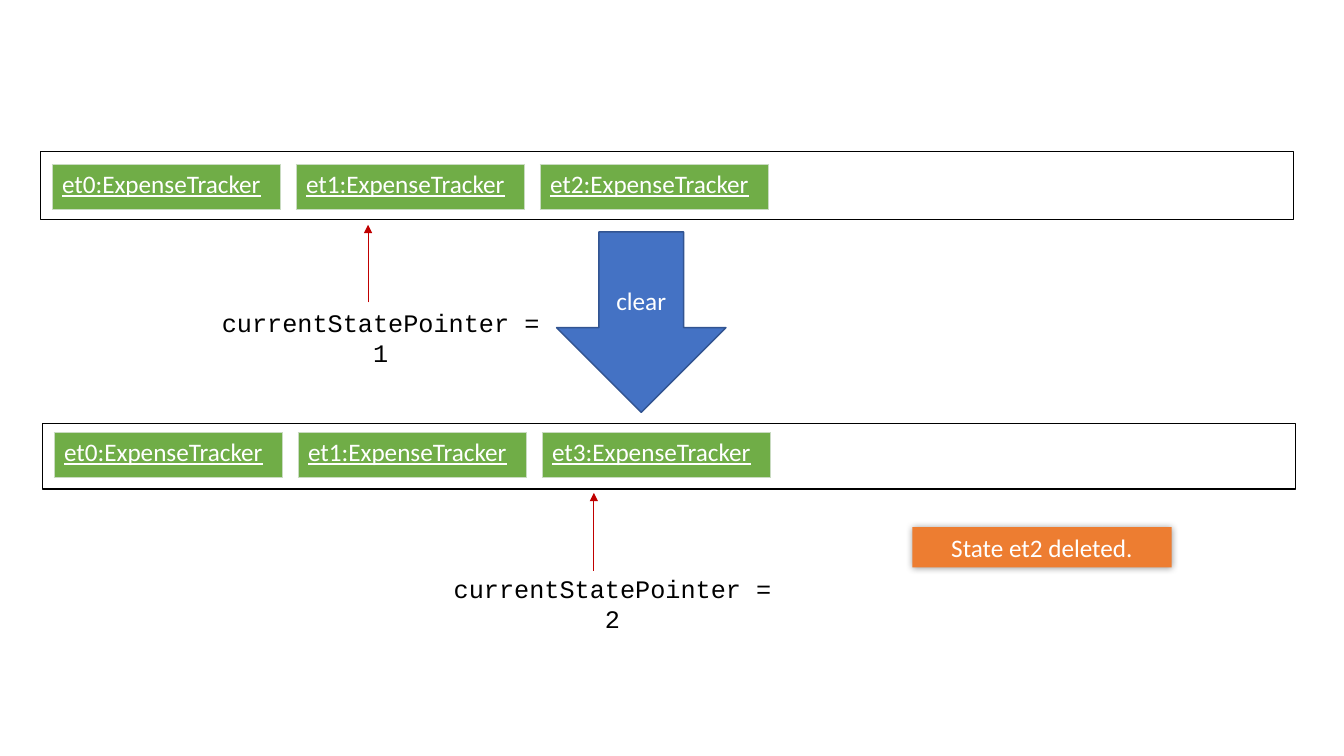
from lxml.etree import SubElement
from pptx import Presentation
from pptx.dml.color import RGBColor
from pptx.enum.shapes import MSO_CONNECTOR, MSO_SHAPE
from pptx.enum.text import MSO_ANCHOR, MSO_AUTO_SIZE, PP_ALIGN
from pptx.oxml.ns import qn
from pptx.util import Inches, Pt

COLORS = {
    "state": "70AD47", "edge": "C9DBC1", "blue": "4472C4", "navy": "325491",
    "note": "ED7D31", "red": "C00000", "black": "000000", "white": "FFFFFF",
}
UNIT = Inches(0.1)  # side of one grid cell
CARD = (22.7, 4.5)
PITCH = 24.2


def grid(*cells):
    return [round(cell * UNIT) for cell in cells]


def color(name):
    return RGBColor.from_string(COLORS[name])


def add_node(parent, tag, **attrs):
    return SubElement(parent, qn(tag), attrs)


def write(frame, text, ink="white", face="Calibri", align=PP_ALIGN.CENTER):
    frame.word_wrap = True
    para = frame.paragraphs[0]
    para.text = text
    para.alignment = align
    font = para.font
    font.name, font.size, font.bold = face, Pt(18), False
    font.color.rgb = color(ink)
    return font


def add_block(slide, kind, box, fill=None, line=None):
    shape = slide.shapes.add_shape(kind, *grid(*box))
    shape.shadow.inherit = False
    if fill:
        shape.fill.solid()
        shape.fill.fore_color.rgb = color(fill)
    else:
        shape.fill.background()
    if line:
        shape.line.color.rgb = color(line)
        shape.line.width = Pt(1)
    else:
        shape.line.fill.background()
    return shape


def add_card(slide, left, top, text):
    """Draw one state object as a table of a single cell."""
    table = slide.shapes.add_table(1, 1, *grid(left, top, *CARD)).table
    table.first_row = table.horz_banding = False
    cell = table.cell(0, 0)
    props = cell._tc.get_or_add_tcPr()
    for side in ("a:lnL", "a:lnR", "a:lnT", "a:lnB"):
        edge = add_node(props, side, w=str(Pt(0.5)))
        solid = add_node(edge, "a:solidFill")
        add_node(solid, "a:srgbClr", val=COLORS["edge"])
    cell.fill.solid()
    cell.fill.fore_color.rgb = color("state")
    write(cell.text_frame, text, align=PP_ALIGN.LEFT).underline = True


def add_states(slide, panel, top, names):
    """Draw a history panel with its states evenly spaced."""
    add_block(slide, MSO_SHAPE.RECTANGLE, panel, line="black")
    for i, name in enumerate(names):
        add_card(slide, panel[0] + 1.15 + i * PITCH, top,
                 f"{name}:ExpenseTracker")


def add_pointer(slide, x, tip, label, value):
    """Draw an upward arrow and the label under it."""
    box = slide.shapes.add_textbox(*grid(*label, 35.1, 4))
    write(box.text_frame, f"currentStatePointer = {value}", "black",
          "Courier New")
    box.text_frame.auto_size = MSO_AUTO_SIZE.SHAPE_TO_FIT_TEXT
    arrow = slide.shapes.add_connector(
        MSO_CONNECTOR.STRAIGHT, *grid(x, tip + 7.7, x, tip))
    arrow.line.color.rgb = color("red")
    arrow.line.width = Pt(0.5)
    add_node(arrow.line._get_or_add_ln(), "a:tailEnd", type="triangle")
    add_node(arrow._element.spPr, "a:effectLst")


def add_step(slide, box, text):
    step = add_block(slide, MSO_SHAPE.DOWN_ARROW, box, "blue", "navy")
    write(step.text_frame, text)
    step.text_frame.vertical_anchor = MSO_ANCHOR.MIDDLE


def add_note(slide, box, text):
    note = add_block(slide, MSO_SHAPE.RECTANGLE, box, "note")
    write(note.text_frame, text)
    note.text_frame.vertical_anchor = MSO_ANCHOR.TOP
    note.text_frame.auto_size = MSO_AUTO_SIZE.SHAPE_TO_FIT_TEXT
    effects = note._element.spPr.find(qn("a:effectLst"))
    glow = add_node(effects, "a:outerShdw", blurRad=str(Pt(5)), dist="0",
                    dir="0", algn="ctr", rotWithShape="0")
    tint = add_node(glow, "a:srgbClr", val=COLORS["black"])
    add_node(tint, "a:alpha", val="40000")


def main():
    deck = Presentation()
    deck.slide_width, deck.slide_height = Inches(13.33), Inches(7.5)
    slide = deck.slides.add_slide(deck.slide_layouts[6])
    add_step(slide, (55.2, 23, 16.8, 17.9), "clear")
    add_note(slide, (90.5, 52.3, 25.7, 4), "State et2 deleted.")
    add_states(slide, (4, 15, 124.3, 6.8), 16.3, ("et0", "et1", "et2"))
    add_states(slide, (4.2, 42, 124.3, 6.5), 42.9, ("et0", "et1", "et3"))
    add_pointer(slide, 36.5, 22.3, (20.2, 30), 1)
    add_pointer(slide, 58.9, 48.9, (43.2, 56.4), 2)
    deck.save("out.pptx")


if __name__ == "__main__":
    main()
